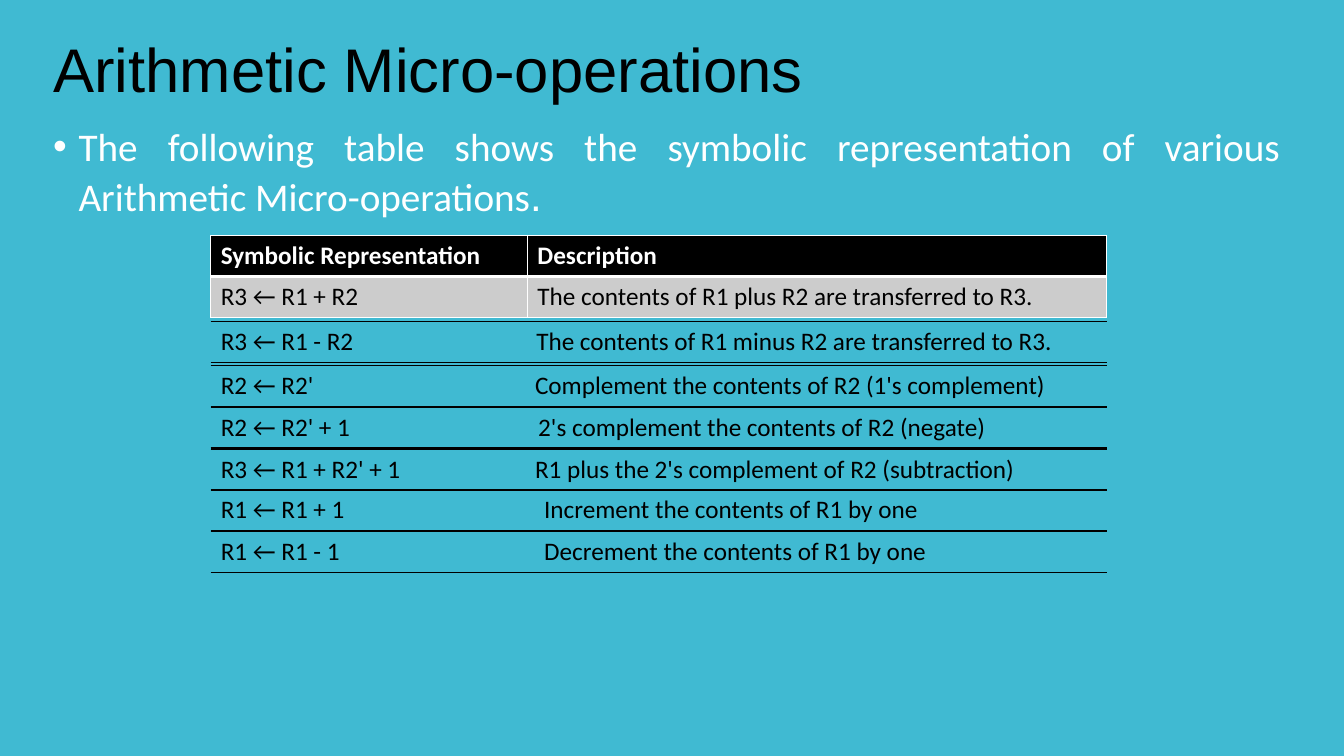
"""Build the slide on arithmetic micro-operations."""
from dataclasses import dataclass

import lxml.etree
import pptx
import pptx.dml.color
import pptx.enum.text
import pptx.oxml.ns
import pptx.presentation
import pptx.shapes.base
import pptx.slide
import pptx.table
import pptx.text.text
import pptx.util
from pptx.util import Cm

COLORS = {"background": "40BAD2", "dark": "000000", "light": "FFFFFF", "band": "CCCCCC"}
PLAIN_STYLE = "{2D5ABB26-0587-4C30-8999-92F81FD0307C}"
TABLE_LEFT, TABLE_WIDTH, ROW_HEIGHT = 5.31, 22.58, 1.03


@dataclass(frozen=True)
class RowStyle:
    """Look of a table row, with border widths in points by side."""
    borders: dict[str, float]
    border_color: str
    font_color: str = "dark"
    fill: str | None = None
    bold: bool = False


@dataclass(frozen=True)
class Row:
    """Symbolic form and description of a micro-operation."""
    symbol: str
    description: str
    style: RowStyle


@dataclass(frozen=True)
class OperationTable:
    """A table with its top and first column width in centimetres."""
    top: float
    symbol_width: float
    rows: list[Row]


HEADER = RowStyle({"L": 1, "R": 1, "T": 1, "B": 3}, "light", "light", "dark", True)
BAND = RowStyle({"L": 1, "R": 1, "T": 3, "B": 1}, "light", fill="band")
RULED = RowStyle({"T": 1, "B": 1}, "dark")

TABLES = [
    OperationTable(5.94, 7.98, [
        Row("Symbolic Representation", "Description", HEADER),
        Row("R3 ← R1 + R2", "The contents of R1 plus R2 are transferred to R3.", BAND),
    ]),
    OperationTable(8.1, 7.95, [
        Row("R3 ← R1 - R2", "The contents of R1 minus R2 are transferred to R3.", RULED)]),
    OperationTable(9.22, 7.92, [
        Row("R2 ← R2'", "Complement the contents of R2 (1's complement)", RULED)]),
    OperationTable(10.26, 8, [
        Row("R2 ← R2' + 1", "2's complement the contents of R2 (negate)", RULED)]),
    OperationTable(11.33, 7.92, [
        Row("R3 ← R1 + R2' + 1", "R1 plus the 2's complement of R2 (subtraction)", RULED)]),
    OperationTable(12.34, 8.15, [
        Row("R1 ← R1 + 1", "Increment the contents of R1 by one", RULED)]),
    OperationTable(13.39, 8.15, [
        Row("R1 ← R1 - 1", "Decrement the contents of R1 by one", RULED)]),
]


def color(name: str) -> pptx.dml.color.RGBColor:
    """Return a named colour."""
    return pptx.dml.color.RGBColor.from_string(COLORS[name])


def add_element(parent: lxml.etree.ElementBase, tag: str, **attributes: str) -> lxml.etree.ElementBase:
    """Append a drawing element to a parent."""
    return lxml.etree.SubElement(parent, pptx.oxml.ns.qn(tag), attributes)


def set_font(font: pptx.text.text.Font, name: str, size: float, color_name: str) -> None:
    """Set typeface, size and colour."""
    font.name = name
    font.size = pptx.util.Pt(size)
    font.color.rgb = color(color_name)


def place(shape: pptx.shapes.base.BaseShape, left: float, top: float, width: float, height: float) -> None:
    """Move and size a shape, in centimetres."""
    shape.left, shape.top, shape.width, shape.height = map(Cm, (left, top, width, height))


def format_title(slide: pptx.slide.Slide) -> None:
    """Fill and place the title."""
    title = slide.shapes.title
    place(title, 1.09, 0, 29.21, 3.68)
    frame = title.text_frame
    frame.text = "Arithmetic Micro-operations"
    frame.auto_size = pptx.enum.text.MSO_AUTO_SIZE.NONE
    frame.vertical_anchor = pptx.enum.text.MSO_ANCHOR.MIDDLE
    paragraph = frame.paragraphs[0]
    paragraph.alignment = pptx.enum.text.PP_ALIGN.LEFT
    paragraph.line_spacing = 0.9
    set_font(paragraph.font, "Arial", 44, "dark")


def add_introduction(slide: pptx.slide.Slide) -> None:
    """Add the justified bullet above the tables."""
    frame = slide.shapes.add_textbox(Cm(1.09), Cm(2.97), Cm(31.42), Cm(15.04)).text_frame
    frame.word_wrap = True
    paragraph = frame.paragraphs[0]
    paragraph.alignment = pptx.enum.text.PP_ALIGN.JUSTIFY
    paragraph.space_before = pptx.util.Pt(10)
    text = paragraph.add_run()
    text.text = "The following table shows the symbolic representation of various Arithmetic Micro-operations"
    set_font(text.font, "Calibri", 28, "light")
    full_stop = paragraph.add_run()
    full_stop.text = "."
    set_font(full_stop.font, "Arial", 30, "light")
    properties = paragraph._p.get_or_add_pPr()
    properties.set("marL", str(Cm(0.64)))
    properties.set("indent", str(Cm(-0.64)))
    add_element(properties, "a:buFont", typeface="Arial")
    add_element(properties, "a:buChar", char="•")


def format_cell(cell: pptx.table._Cell, text: str, style: RowStyle) -> None:
    """Write a cell and apply its row style."""
    cell.text = text
    font = cell.text_frame.paragraphs[0].font
    set_font(font, "Calibri", 18, style.font_color)
    font.bold = style.bold
    properties = cell._tc.get_or_add_tcPr()
    for side, width in style.borders.items():
        line = add_element(properties, f"a:ln{side}", w=str(pptx.util.Pt(width)))
        add_element(add_element(line, "a:solidFill"), "a:srgbClr", val=COLORS[style.border_color])
    if style.fill:
        cell.fill.solid()
        cell.fill.fore_color.rgb = color(style.fill)
    else:
        cell.fill.background()


def add_operation_table(slide: pptx.slide.Slide, operation_table: OperationTable) -> None:
    """Add one table of micro-operations."""
    rows = operation_table.rows
    table = slide.shapes.add_table(
        len(rows), 2, Cm(TABLE_LEFT), Cm(operation_table.top),
        Cm(TABLE_WIDTH), Cm(ROW_HEIGHT * len(rows))).table
    table.first_row = table.horz_banding = False
    table._tbl.tblPr.find(pptx.oxml.ns.qn("a:tableStyleId")).text = PLAIN_STYLE
    table.columns[0].width = Cm(operation_table.symbol_width)
    table.columns[1].width = Cm(TABLE_WIDTH - operation_table.symbol_width)
    for index, row in enumerate(rows):
        for column, text in enumerate((row.symbol, row.description)):
            format_cell(table.cell(index, column), text, row.style)


def main() -> None:
    """Build and save the presentation."""
    presentation = pptx.Presentation()
    presentation.slide_width, presentation.slide_height = Cm(33.87), Cm(19.05)
    slide = presentation.slides.add_slide(presentation.slide_layouts.get_by_name("Title Only"))
    slide.background.fill.solid()
    slide.background.fill.fore_color.rgb = color("background")
    format_title(slide)
    add_introduction(slide)
    for operation_table in TABLES:
        add_operation_table(slide, operation_table)
    presentation.save("out.pptx")


if __name__ == "__main__":
    main()
